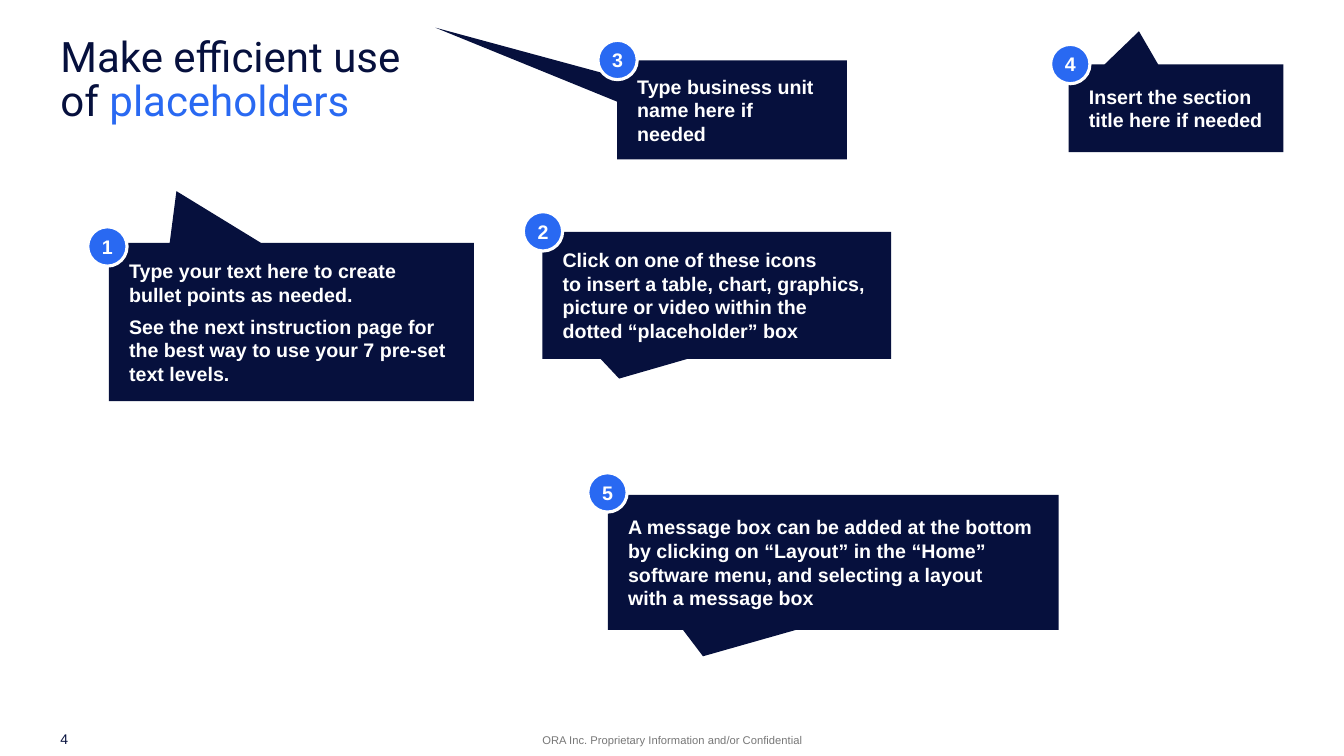
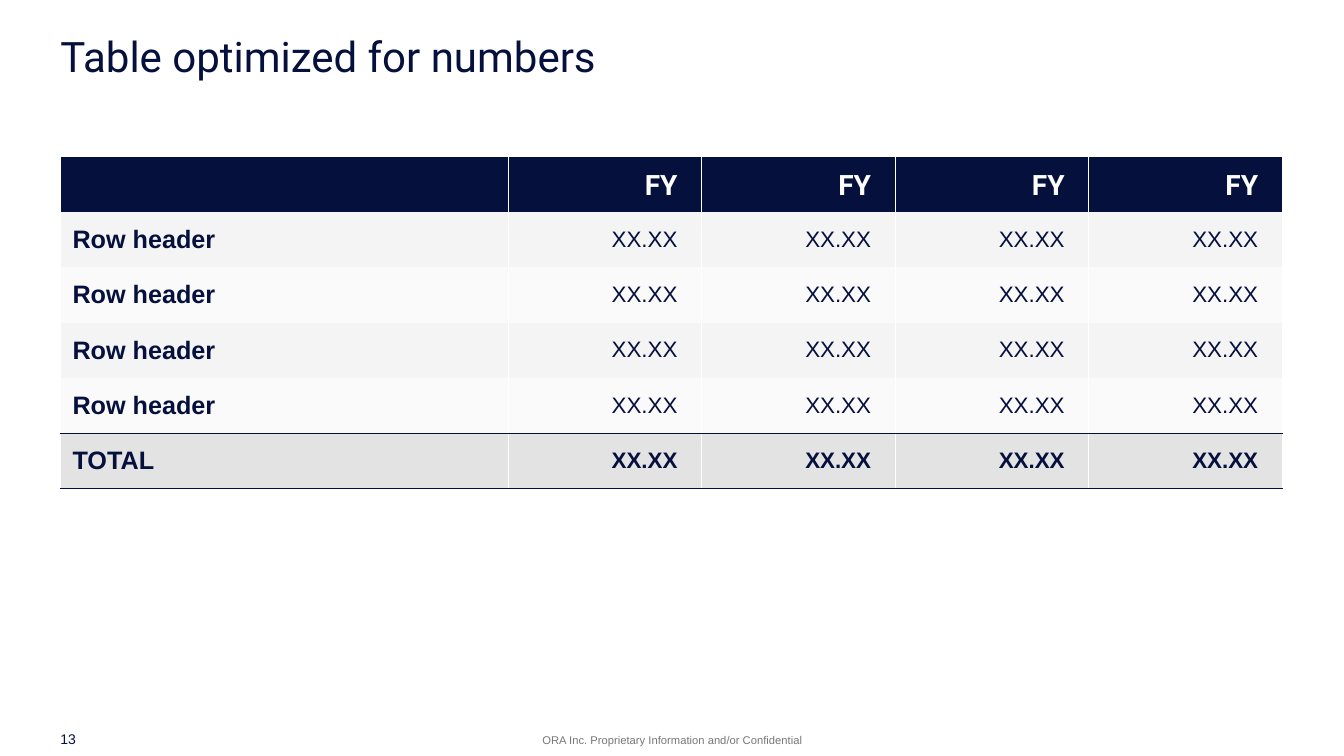
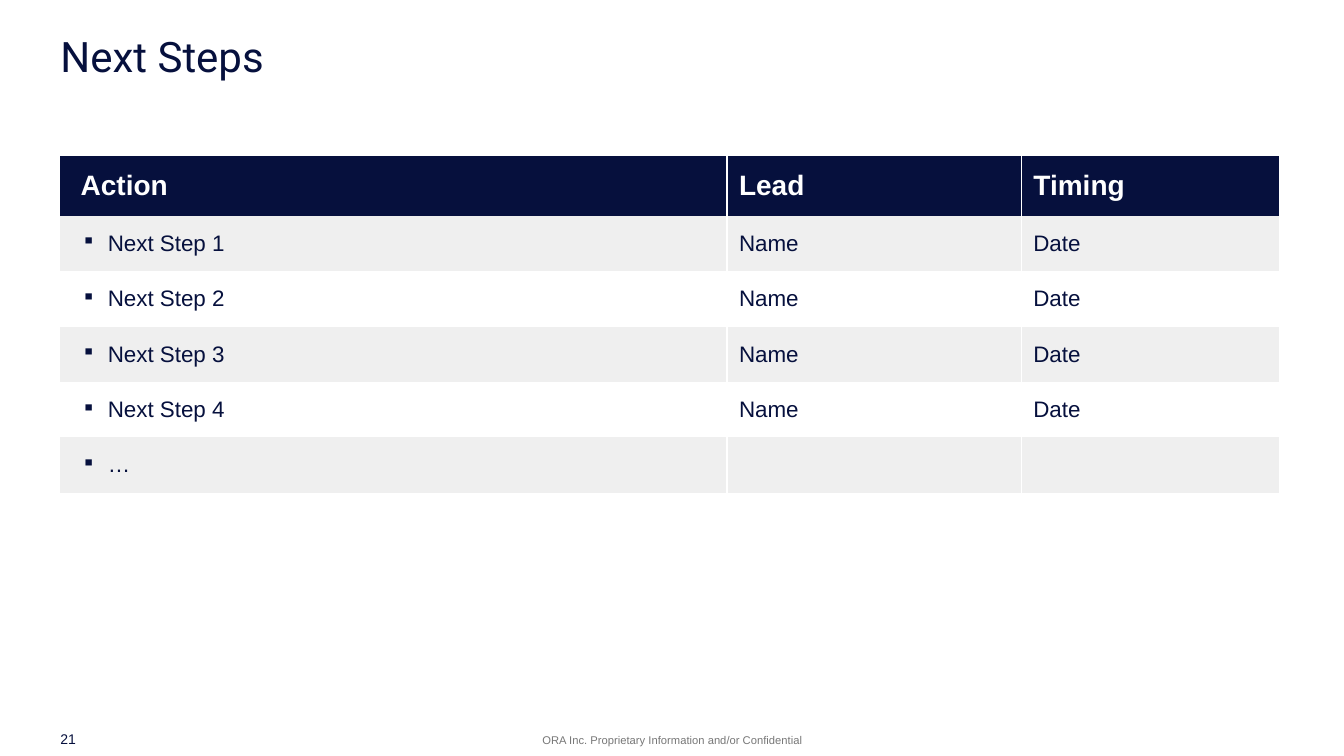
"""Build three template slides: placeholder callouts, a number table and a next-steps table."""
from lxml.etree import SubElement
from pptx import Presentation
from pptx.dml.color import RGBColor
from pptx.enum.shapes import MSO_SHAPE as SHAPE
from pptx.enum.text import MSO_ANCHOR as ANCHOR, PP_ALIGN as ALIGN
from pptx.oxml.ns import qn
from pptx.util import Inches, Pt

NAVY, BLUE, WHITE, GREY = "06103D", "2969F2", "FFFFFF", "777777"
LEFT, TABLE_TOP = 0.6, 1.55
rgb = RGBColor.from_string


def write(holder, text, size=14, color=NAVY, font="Arial", bold=False, align=ALIGN.LEFT,
          insets=(0, 0, 0, 0), anchor=ANCHOR.MIDDLE, line_spacing=None, gap=0,
          accent="", bullet=""):
    """Fill a text frame or table cell; newlines split paragraphs, vertical tabs split lines."""
    holder.margin_left, holder.margin_top, holder.margin_right, holder.margin_bottom = map(Inches, insets)
    holder.vertical_anchor = anchor
    holder.word_wrap = True
    frame = getattr(holder, "text_frame", holder)
    for index, content in enumerate(text.split("\n")):
        paragraph = frame.add_paragraph() if index else frame.paragraphs[0]
        paragraph.alignment = align
        if line_spacing:
            paragraph.line_spacing = line_spacing
        if index and gap:
            paragraph.space_before = Pt(gap)
        if bullet:
            props = paragraph._p.get_or_add_pPr()
            props.set("marL", str(Inches(0.47)))
            props.set("indent", str(Inches(-0.26)))
            SubElement(SubElement(props, qn("a:buClr")), qn("a:srgbClr"), val=color)
            SubElement(props, qn("a:buSzPct"), val="85000")
            SubElement(props, qn("a:buChar"), char=bullet)
        for number, line in enumerate(content.split("\v")):
            if number:
                paragraph.add_line_break()
            for part, shade in ((line, color), (accent, BLUE)):
                if part and (part == line or number == content.count("\v")):
                    run = paragraph.add_run()
                    run.text = part
                    run.font.name, run.font.size, run.font.bold = font, Pt(size), bold
                    run.font.color.rgb = rgb(shade)


def style_cell(cell, fill, **borders):
    """Set the four 1 pt borders (absent sides have no line) and then the fill."""
    props = cell._tc.get_or_add_tcPr()
    for side in "LRTB":
        line = SubElement(props, qn("a:ln" + side), w=str(Pt(1)))
        if side in borders:
            SubElement(SubElement(line, qn("a:solidFill")), qn("a:srgbClr"), val=borders[side])
        else:
            SubElement(line, qn("a:noFill"))
    cell.fill.solid()
    cell.fill.fore_color.rgb = rgb(fill)


deck = Presentation()
deck.slide_width, deck.slide_height = Inches(13.33), Inches(7.5)

slides = []
for title, accent, page in (
    ("Make efficient use\vof ", "placeholders", "4"),
    ("Table optimized for numbers", "", "13"),
    ("Next Steps", "", "21"),
):
    slide = deck.slides.add_slide(deck.slide_layouts[6])
    slides.append(slide)
    for text, place, look in (
        ("ORA Inc. Proprietary Information and/or Confidential", (4.56, 7.26, 4.22, 0.16),
         dict(size=8, color=GREY, align=ALIGN.CENTER)),
        (page, (LEFT, 7.25, 0.55, 0.16), dict(size=10)),
        (title, (LEFT, 0.36, 12.13, 0.94),
         dict(size=30, font="Roboto", anchor=ANCHOR.TOP, line_spacing=0.89, accent=accent)),
    ):
        write(slide.shapes.add_textbox(*map(Inches, place)).text_frame, text, **look)
callout_slide, numbers_slide, steps_slide = slides

BADGE = 0.39
for number, place, tip, badge_at, message in (
    ("1", (1.08, 2.41, 3.62, 1.57), (-0.315, -0.827), (0.87, 2.25),
     "Type your text here to create bullet points as needed.\n"
     "See the next instruction page for the best way to use your 7 pre-set text levels."),
    ("2", (5.38, 2.3, 3.46, 1.26), (-0.28, 0.656), (5.19, 2.1),
     "Click on one of these icons\vto insert a table, chart, graphics, "
     "picture or video within the dotted “placeholder” box"),
    ("5", (6.03, 4.91, 4.47, 1.34), (-0.289, 0.695), (5.83, 4.69),
     "A message box can be added at the bottom\vby clicking on “Layout” in the “Home” "
     "software menu, and selecting a layout\vwith a message box"),
    ("4", (10.6, 0.64, 2.13, 0.87), (-0.173, -0.879), (10.42, 0.44),
     "Insert the section title here if needed"),
    ("3", (6.12, 0.6, 2.28, 0.98), (-1.291, -0.833), (5.93, 0.4),
     "Type business unit name here if needed"),
):
    callout = callout_slide.shapes.add_shape(SHAPE.RECTANGULAR_CALLOUT, *map(Inches, place))
    callout.adjustments[0], callout.adjustments[1] = tip
    callout.line.fill.background()
    badge = callout_slide.shapes.add_shape(SHAPE.OVAL, *map(Inches, (*badge_at, BADGE, BADGE)))
    badge.line.color.rgb = rgb(WHITE)
    badge.line.width = Pt(2.25)
    for shape, fill in ((callout, NAVY), (badge, BLUE)):
        shape.shadow.inherit = False
        shape.fill.solid()
        shape.fill.fore_color.rgb = rgb(fill)
    write(callout.text_frame, message, color=WHITE, bold=True, gap=6, insets=(0.2, 0.05, 0.2, 0.05))
    write(badge.text_frame, number, color=WHITE, bold=True, align=ALIGN.CENTER)

grids = []
for slide, widths, heights in (
    (numbers_slide, [4.44] + [1.92] * 4, [0.55] * 6),
    (steps_slide, [6.61, 2.92, 2.56], [0.59] + [0.55] * 5),
):
    grid = slide.shapes.add_table(
        len(heights), len(widths),
        *map(Inches, (LEFT, TABLE_TOP, sum(widths), sum(heights)))).table
    for column, width in zip(grid.columns, widths):
        column.width = Inches(width)
    for row, height in zip(grid.rows, heights):
        row.height = Inches(height)
    grids.append(grid)
numbers, steps = grids

number_rows = [[""] + ["FY"] * 4] + [["Row header"] + ["XX.XX"] * 4] * 4 + [["TOTAL"] + ["XX.XX"] * 4]
number_fills = [NAVY, "F4F4F4", "FAFAFA", "F4F4F4", "FAFAFA", "E3E3E3"]
number_rules = [{"T": WHITE}, {}, {}, {}, {"B": NAVY}, {"T": NAVY, "B": NAVY}]
for r, texts in enumerate(number_rows):
    for c, text in enumerate(texts):
        cell = numbers.cell(r, c)
        style_cell(cell, number_fills[r], L=WHITE, R=WHITE, **number_rules[r])
        if r == 0:
            look = dict(size=20, font="Roboto", color=WHITE, bold=True, align=ALIGN.RIGHT,
                        insets=(0.16, 0.09, 0.24, 0.05))
        elif c == 0:
            look = dict(size=18, bold=True, insets=(0.12, 0.08, 0.12, 0.08))
        else:
            look = dict(size=16, bold=text and r == 5, align=ALIGN.RIGHT,
                        insets=(0.16, 0.08, 0.24, 0.08))
        write(cell, text, **look)

step_rows = [["Action", "Lead", "Timing"]]
step_rows += [[f"Next Step {n}", "Name", "Date"] for n in range(1, 5)] + [["…", "", ""]]
for r, texts in enumerate(step_rows):
    for c, text in enumerate(texts):
        cell = steps.cell(r, c)
        fill = NAVY if r == 0 else "EFEFEF" if r % 2 else WHITE
        style_cell(cell, fill, **({"L": WHITE} if c else {}), R=WHITE)
        look = dict(size=16, insets=(0.12, 0.05, 0.09, 0.05))
        if r == 0:
            look.update(size=20, color=WHITE, bold=True)
        if c == 0:
            look.update(insets=(0, 0.05, 0, 0.05) if r else (0.2, 0.05, 0.2, 0.05),
                        bullet="▪" if r else "")
        write(cell, text, **look)

deck.save("out.pptx")
